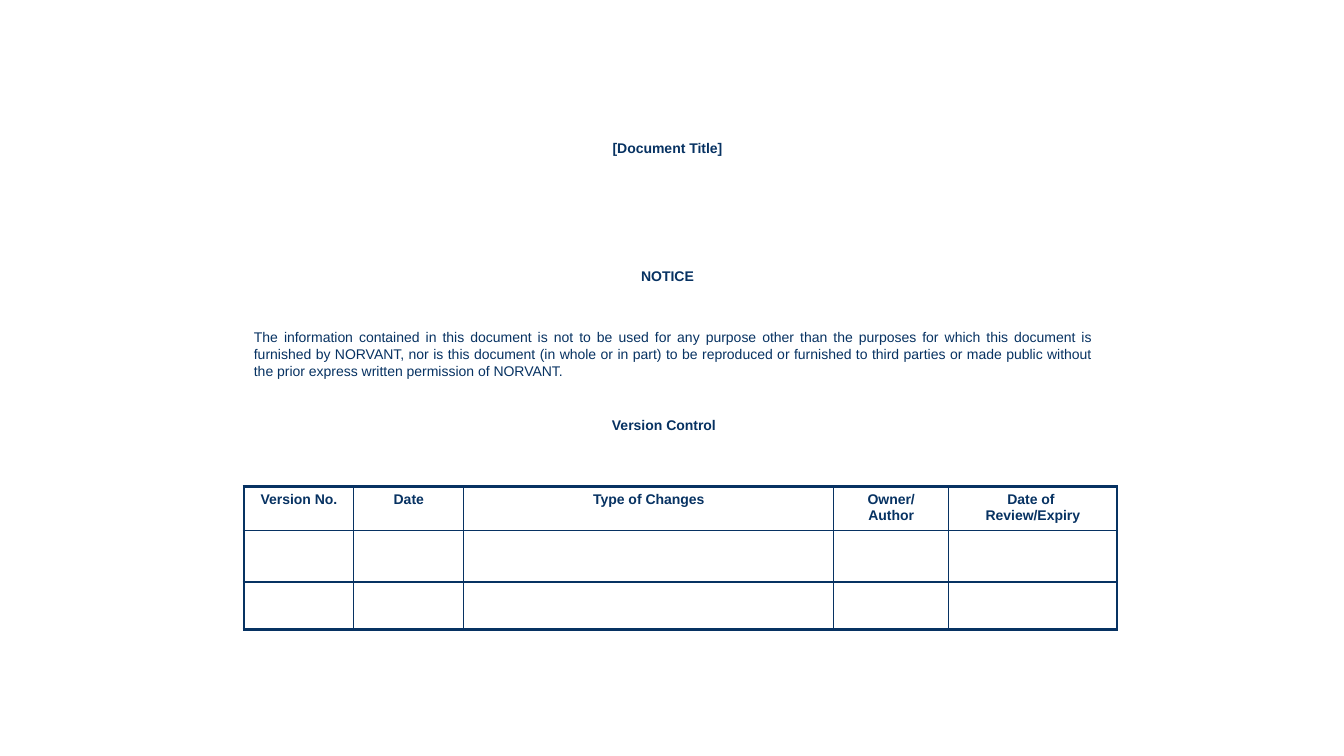
from lxml import etree
from pptx import Presentation
from pptx.dml.color import RGBColor
from pptx.enum.text import MSO_ANCHOR, PP_ALIGN
from pptx.oxml.ns import qn
from pptx.util import Inches, Pt

CENTER, JUSTIFY = PP_ALIGN.CENTER, PP_ALIGN.JUSTIFY
TOP, MIDDLE = MSO_ANCHOR.TOP, MSO_ANCHOR.MIDDLE

COLORS = {"navy": "073262"}
FONT = {"name": "Arial", "size": Pt(10), "bold": True}
THICK, THIN = 2.25, 1

COLS = [1.09, 1.09, 3.67, 1.14, 1.67]
ROWS = [0.42, 0.51, 0.47]
HEADS = ["Version No.", "Date", "Type of Changes", "Owner/ Author",
         "Date of \vReview/Expiry"]
NOTICE = (
    "The information contained in this document is not to be used for any "
    "purpose other than the purposes for which this document is furnished by "
    "NORVANT, nor is this document (in whole or in part) to be reproduced or "
    "furnished to third parties or made public without the prior express "
    "written permission of NORVANT."
)


def apply(item, values):
    """Set each attribute of item from a dict."""
    for name, value in values.items():
        setattr(item, name, value)


def write(para, text, align=CENTER, **extra):
    """Fill a paragraph with navy text."""
    para.text = text
    para.alignment = align
    apply(para.font, {**FONT, **extra})
    para.font.color.rgb = RGBColor.from_string(COLORS["navy"])


def add_text(slide, box, lines, gap=0, align=CENTER, frame=None, **extra):
    """Add a text box with one paragraph per line, set apart by gap points."""
    shape = slide.shapes.add_textbox(*map(Inches, box))
    text = shape.text_frame
    apply(text, {"word_wrap": True, "vertical_anchor": TOP, **(frame or {})})
    for i, line in enumerate(lines):
        para = text.add_paragraph() if i else text.paragraphs[0]
        write(para, line, align, **extra)
        para.space_before = Pt(gap if i else 0)


def add_edges(cell, widths):
    """Draw the left, right, top and bottom borders of a cell."""
    props = cell._tc.get_or_add_tcPr()
    for i, (side, width) in enumerate(zip("LRTB", widths)):
        line = etree.Element(qn(f"a:ln{side}"), w=str(Pt(width)))
        fill = etree.SubElement(line, qn("a:solidFill"))
        etree.SubElement(fill, qn("a:srgbClr"), val=COLORS["navy"])
        props.insert(i, line)


def add_grid(slide, left, top):
    """Add the version table with a thick outer frame."""
    size = (left, top, sum(COLS), sum(ROWS))
    table = slide.shapes.add_table(
        len(ROWS), len(COLS), *map(Inches, size)).table
    apply(table, {"first_row": False, "horz_banding": False})
    for col, width in zip(table.columns, COLS):
        col.width = Inches(width)
    for row, height in zip(table.rows, ROWS):
        row.height = Inches(height)
    for cell, head in zip(table.rows[0].cells, HEADS):
        write(cell.text_frame.paragraphs[0], head)
    for r, row in enumerate(table.rows):
        for c, cell in enumerate(row.cells):
            cell.fill.background()
            outer = (c == 0, c == len(COLS) - 1, r == 0, r == len(ROWS) - 1)
            add_edges(cell, [THICK if edge else THIN for edge in outer])


def main():
    """Build the notice slide."""
    deck = Presentation()
    apply(deck, {"slide_width": Inches(13.33), "slide_height": Inches(7.5)})
    slide = deck.slides.add_slide(deck.slide_layouts[6])
    add_text(slide, (2.92, 4.08, 7.33, 0.27), ["Version Control"])
    add_grid(slide, 2.42, 4.83)
    add_text(slide, (2.42, 2.55, 8.5, 1.45), [NOTICE], align=JUSTIFY,
             frame={"vertical_anchor": MIDDLE, "margin_top": Inches(0.52)},
             bold=False)
    add_text(slide, (4.83, 1.33, 3.58, 1.78), ["[Document Title]", "NOTICE"],
             gap=80)
    deck.save("out.pptx")


main()
